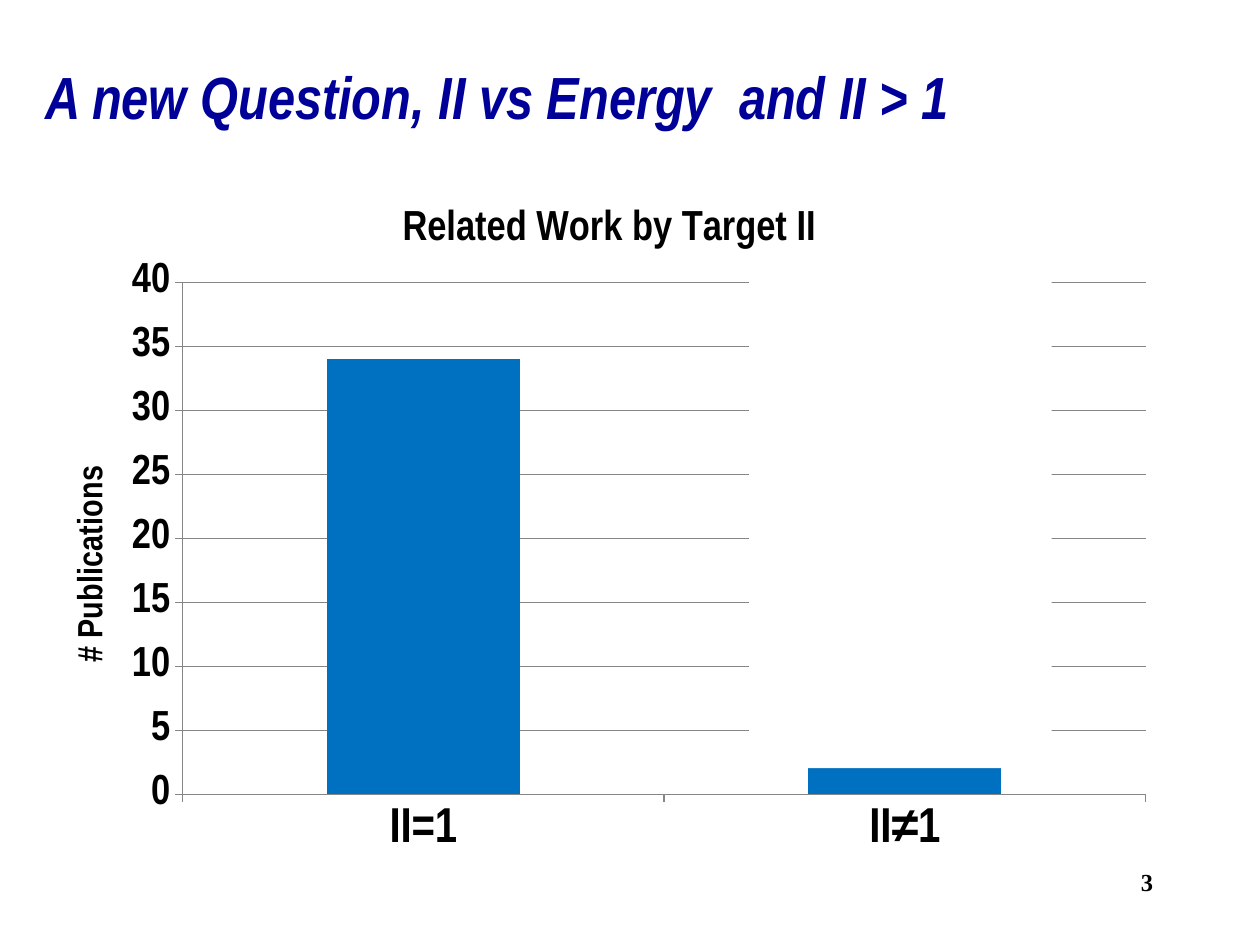
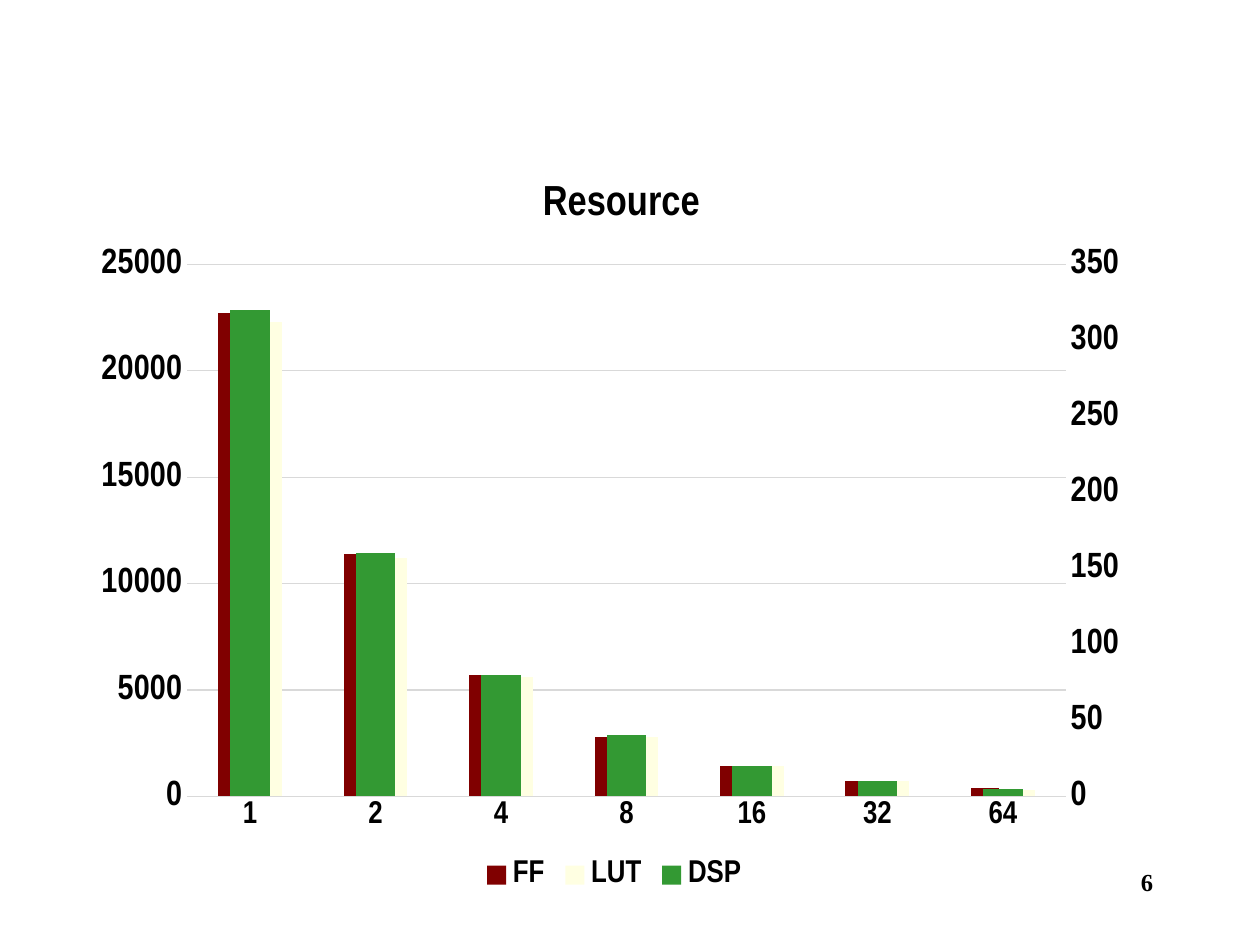
from copy import deepcopy

from lxml.etree import SubElement
from pptx import Presentation
from pptx.chart.data import CategoryChartData
from pptx.dml.color import RGBColor
from pptx.enum.chart import XL_CHART_TYPE as ChartType
from pptx.enum.chart import XL_LEGEND_POSITION as LegendPosition
from pptx.enum.chart import XL_TICK_MARK as Tick
from pptx.enum.shapes import MSO_SHAPE as Shape
from pptx.enum.text import MSO_ANCHOR as Anchor
from pptx.enum.text import PP_ALIGN as Align
from pptx.oxml.ns import qn
from pptx.util import Pt

COLORS = {
    "title": "000099", "text": "000000", "cover": "FFFFFF",
    "axis": "868686", "grid": "D9D9D9", "publications": "0070C0",
    "FF": "800000", "LUT": "FFFFE2", "DSP": "339933",
}
BODY_FONT = "Arial Narrow"
NUMBER_FONT = "Times New Roman"


def rgb(name):
    return RGBColor.from_string(COLORS[name])


# Text
def style(font, size, color="text", name=BODY_FONT, bold=True, italic=False):
    font.size, font.name, font.bold, font.italic = Pt(size), name, bold, italic
    font.color.rgb = rgb(color)


def write(frame, text, align=None, spacing=None, **font_format):
    paragraph = frame.paragraphs[0]
    paragraph.alignment = align
    paragraph.line_spacing = spacing
    run = paragraph.add_run()
    run.text = text
    style(run.font, **font_format)


def add_text(slide, box, text, anchor=Anchor.TOP, **text_format):
    frame = slide.shapes.add_textbox(*map(Pt, box)).text_frame
    frame.word_wrap = True
    frame.vertical_anchor = anchor
    write(frame, text, **text_format)


def add_page_number(slide, number):
    add_text(slide, (516, 492, 150, 36), str(number),
             align=Align.RIGHT, size=14, name=NUMBER_FONT)


def add_cover(slide, box):
    cover = slide.shapes.add_shape(Shape.RECTANGLE, *map(Pt, box))
    cover.shadow.inherit = False
    cover.fill.solid()
    cover.fill.fore_color.rgb = rgb("cover")
    cover.line.fill.background()


# Charts
def place(part, **fractions):
    """Fix a chart part at fractions of the chart's size."""
    layout = part.find(qn("c:layout"))
    if layout is not None:
        part.remove(layout)
    manual_layout = part.makeelement(qn("c:layout"))
    part.insert(0 if part.find(qn("c:tx")) is None else 1, manual_layout)
    manual = SubElement(manual_layout, qn("c:manualLayout"))
    if "w" in fractions:
        SubElement(manual, qn("c:layoutTarget")).set("val", "inner")
    for side in "xy":
        SubElement(manual, qn(f"c:{side}Mode")).set("val", "edge")
    for side, fraction in fractions.items():
        SubElement(manual, qn(f"c:{side}")).set("val", str(fraction))


def add_column_chart(slide, box, title, title_at, plot_at, categories, series, gap):
    data = CategoryChartData()
    data.categories = categories
    for name, values, _ in series:
        data.add_series(name, values)
    chart = slide.shapes.add_chart(
        ChartType.COLUMN_CLUSTERED, *map(Pt, box), data).chart
    style(chart.font, 10, bold=False)
    write(chart.chart_title.text_frame, title, size=24)
    place(chart.chart_title._element, **title_at)
    place(chart._chartSpace.chart.plotArea, **plot_at)
    chart.has_legend = False
    plot = chart.plots[0]
    plot.gap_width = gap
    plot.vary_by_categories = False
    for column, (_, _, color) in zip(plot.series, series):
        column.format.fill.solid()
        column.format.fill.fore_color.rgb = rgb(color)
        column.invert_if_negative = False
    return chart


def format_axis(axis, size, line, tick):
    style(axis.tick_labels.font, size)
    axis.major_tick_mark = tick
    if line:
        axis.format.line.color.rgb = rgb(line)
        axis.format.line.width = Pt(0.75)
    else:
        axis.format.line.fill.background()


def scale_axis(axis, top, step, grid):
    axis.minimum_scale, axis.maximum_scale, axis.major_unit = 0, top, step
    axis.has_major_gridlines = True
    axis.major_gridlines.format.line.color.rgb = rgb(grid)
    axis.major_gridlines.format.line.width = Pt(0.75)


def move_last_series_right(chart, top, step):
    """Give the last series its own value axis on the right."""
    left_bars = chart.plots[0]._element
    right_bars = deepcopy(left_bars)
    left_bars.remove(left_bars.findall(qn("c:ser"))[-1])
    for bars in right_bars.findall(qn("c:ser"))[:-1]:
        right_bars.remove(bars)
    left_bars.addnext(right_bars)

    category_axis = deepcopy(chart.category_axis._element)
    value_axis = deepcopy(chart.value_axis._element)
    chart.value_axis._element.addnext(value_axis)
    value_axis.addnext(category_axis)
    category_id, value_id = "5001", "5002"
    for reference, new_id in zip(right_bars.findall(qn("c:axId")),
                                 (category_id, value_id)):
        reference.set("val", new_id)

    def update(axis, **settings):
        for tag, value in settings.items():
            next(axis.iter(qn(f"c:{tag}"))).set("val", str(value))

    update(category_axis, axId=category_id, crossAx=value_id, delete=1)
    update(value_axis, axId=value_id, crossAx=category_id, axPos="r",
           crosses="max", max=top, majorUnit=step)
    value_axis.remove(value_axis.find(qn("c:majorGridlines")))


# Slides
def build_related_work(slide):
    add_page_number(slide, 3)
    chart = add_column_chart(
        slide, (18, 101, 649, 394), "Related Work by Target II",
        dict(x=0.32, y=0.03), dict(x=0.133, y=0.153, w=0.848, h=0.743),
        ["II=1", "II≠1"], [("Series 1", (34, 4), "publications")], gap=150)
    format_axis(chart.category_axis, 28, "axis", Tick.OUTSIDE)
    publications = chart.value_axis
    format_axis(publications, 24, "axis", Tick.OUTSIDE)
    scale_axis(publications, 40, 5, "axis")
    write(publications.axis_title.text_frame, "# Publications", size=20)
    place(publications.axis_title._element, x=0.03, y=0.41)
    add_cover(slide, (428, 157, 173, 282))
    add_text(slide, (19, 31, 648, 53), "A new Question, II vs Energy  and II > 1",
             anchor=Anchor.MIDDLE, spacing=0.9, size=34, color="title", italic=True)


def build_resource(slide):
    add_page_number(slide, 6)
    resources = [
        ("FF", (22700, 11400, 5700, 2800, 1400, 700, 400), "FF"),
        ("LUT", (22300, 11200, 5600, 2800, 1400, 700, 300), "LUT"),
        ("DSP", (320, 160, 80, 40, 20, 10, 5), "DSP"),
    ]
    chart = add_column_chart(
        slide, (46, 84, 610, 428), "Resource",
        dict(x=0.426, y=0.035), dict(x=0.1, y=0.157, w=0.823, h=0.71),
        [str(2 ** power) for power in range(7)], resources, gap=219)
    chart.plots[0].overlap = -27
    format_axis(chart.category_axis, 18, "grid", Tick.NONE)
    format_axis(chart.value_axis, 20, None, Tick.NONE)
    scale_axis(chart.value_axis, 25000, 5000, "grid")
    move_last_series_right(chart, 350, 50)
    chart.has_legend = True
    chart.legend.position = LegendPosition.BOTTOM
    chart.legend.include_in_layout = False
    style(chart.legend.font, 18)


def main():
    deck = Presentation()
    deck.slide_width, deck.slide_height = Pt(720), Pt(540)
    blank = deck.slide_layouts[6]
    for build in (build_related_work, build_resource):
        build(deck.slides.add_slide(blank))
    deck.save("out.pptx")


if __name__ == "__main__":
    main()
